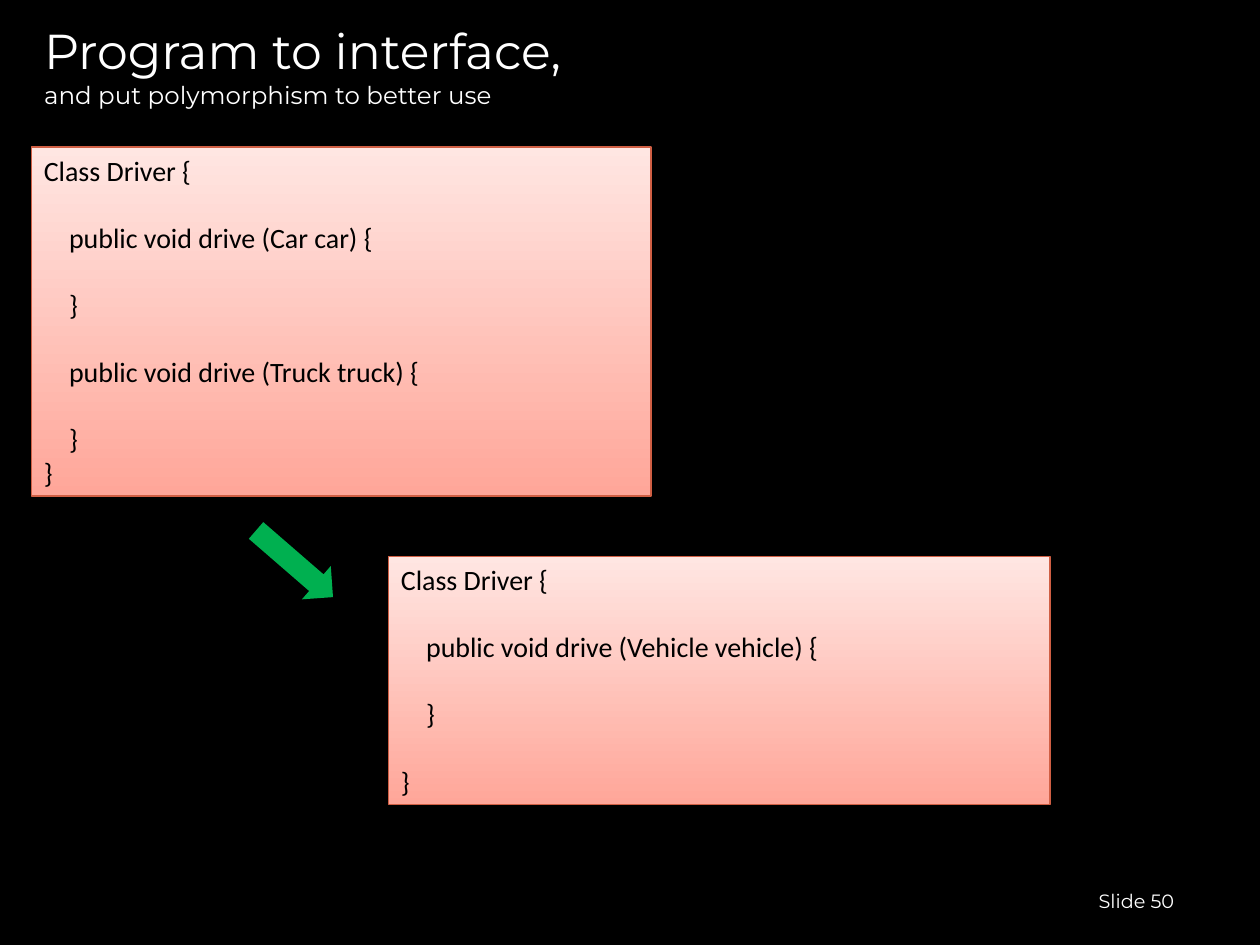
import pptx
import pptx.util
import pptx.dml.color
import pptx.enum.shapes
import pptx.enum.text

BLACK = pptx.dml.color.RGBColor(0x00, 0x00, 0x00)
WHITE = pptx.dml.color.RGBColor(0xFF, 0xFF, 0xFF)
SALMON = pptx.dml.color.RGBColor(0xFF, 0xA6, 0x99)
BLUSH = pptx.dml.color.RGBColor(0xFF, 0xE6, 0xE2)
RUST = pptx.dml.color.RGBColor(0xD0, 0x5F, 0x44)
GREEN = pptx.dml.color.RGBColor(0x00, 0xB0, 0x50)
SHAPES = pptx.enum.shapes.MSO_SHAPE
ANCHOR = pptx.enum.text.MSO_ANCHOR
ALIGN = pptx.enum.text.PP_ALIGN
COLUMNS, ROWS = 120, 90
CODE_LINE = pptx.util.Pt(19.2)

deck = pptx.Presentation()
deck.slide_width = pptx.util.Inches(10)
deck.slide_height = pptx.util.Inches(7.5)


def grid(column, row, columns, rows):
    across, down = deck.slide_width / COLUMNS, deck.slide_height / ROWS
    return [round(n) for n in (column * across, row * down, columns * across, rows * down)]


def style(font, name, size, color):
    font.name = name
    font.size = pptx.util.Pt(size)
    font.color.rgb = color


page = deck.slides.add_slide(deck.slide_layouts[5])
page.background.fill.solid()
page.background.fill.fore_color.rgb = BLACK

title = page.shapes.title
title.left, title.top, title.width, title.height = grid(3, 2, 108, 8.4)
title.text_frame.word_wrap = True
title.text_frame.auto_size = pptx.enum.text.MSO_AUTO_SIZE.NONE
title.text_frame.vertical_anchor = ANCHOR.MIDDLE
para = title.text_frame.paragraphs[0]
para.alignment = ALIGN.LEFT
style(para.font, "Montserrat", 28, WHITE)
headline = para.add_run()
headline.text = "Program to interface,"
para.add_line_break()
subtitle = para.add_run()
subtitle.text = "and put polymorphism to better use"
for span, size in ((headline, 28), (subtitle, 14)):
    style(span.font, "Montserrat", size, WHITE)

number = page.shapes.add_textbox(*grid(86, 83.4, 28, 4.8))
number.text_frame.word_wrap = True
number.text_frame.vertical_anchor = ANCHOR.MIDDLE
number.text_frame.margin_right = pptx.util.Inches(0.18)
para = number.text_frame.paragraphs[0]
para.text = "Slide 50"
para.alignment = ALIGN.RIGHT
style(para.font, "Montserrat", 11, WHITE)

listings = [
    (grid(3, 14, 59, 33.24), [
        ("Class Driver {", 0),
        ("    public void drive (Car car) {", 1),
        ("    }", 1),
        ("    public void drive (Truck truck) {", 1),
        ("    }", 1),
        ("}", 0),
    ]),
    (grid(37, 53, 63, 23.64), [
        ("Class Driver {", 0),
        ("    public void drive (Vehicle vehicle) {", 1),
        ("    }", 1),
        ("}", 1),
    ]),
]
for place, lines in listings:
    box = page.shapes.add_shape(SHAPES.RECTANGLE, *place)
    box.shadow.inherit = False
    box.fill.gradient()
    box.fill.gradient_angle = 90
    for stop, color in zip(box.fill.gradient_stops, (SALMON, BLUSH)):
        stop.color.rgb = color
    box.line.color.rgb = RUST
    box.line.width = pptx.util.Pt(0.75)
    frame = box.text_frame
    frame.word_wrap = True
    frame.vertical_anchor = ANCHOR.TOP
    for index, (code, gap) in enumerate(lines):
        para = frame.add_paragraph() if index else frame.paragraphs[0]
        para.text = code
        para.alignment = ALIGN.LEFT
        para.space_before = gap * CODE_LINE
        style(para.font, "Calibri", 16, BLACK)

arrow = page.shapes.add_shape(SHAPES.RIGHT_ARROW, *grid(23.2, 51.6, 9.7, 4.2))
arrow.rotation = 40.9
arrow.shadow.inherit = False
arrow.fill.solid()
arrow.fill.fore_color.rgb = GREEN
arrow.line.fill.background()

deck.save("out.pptx")
